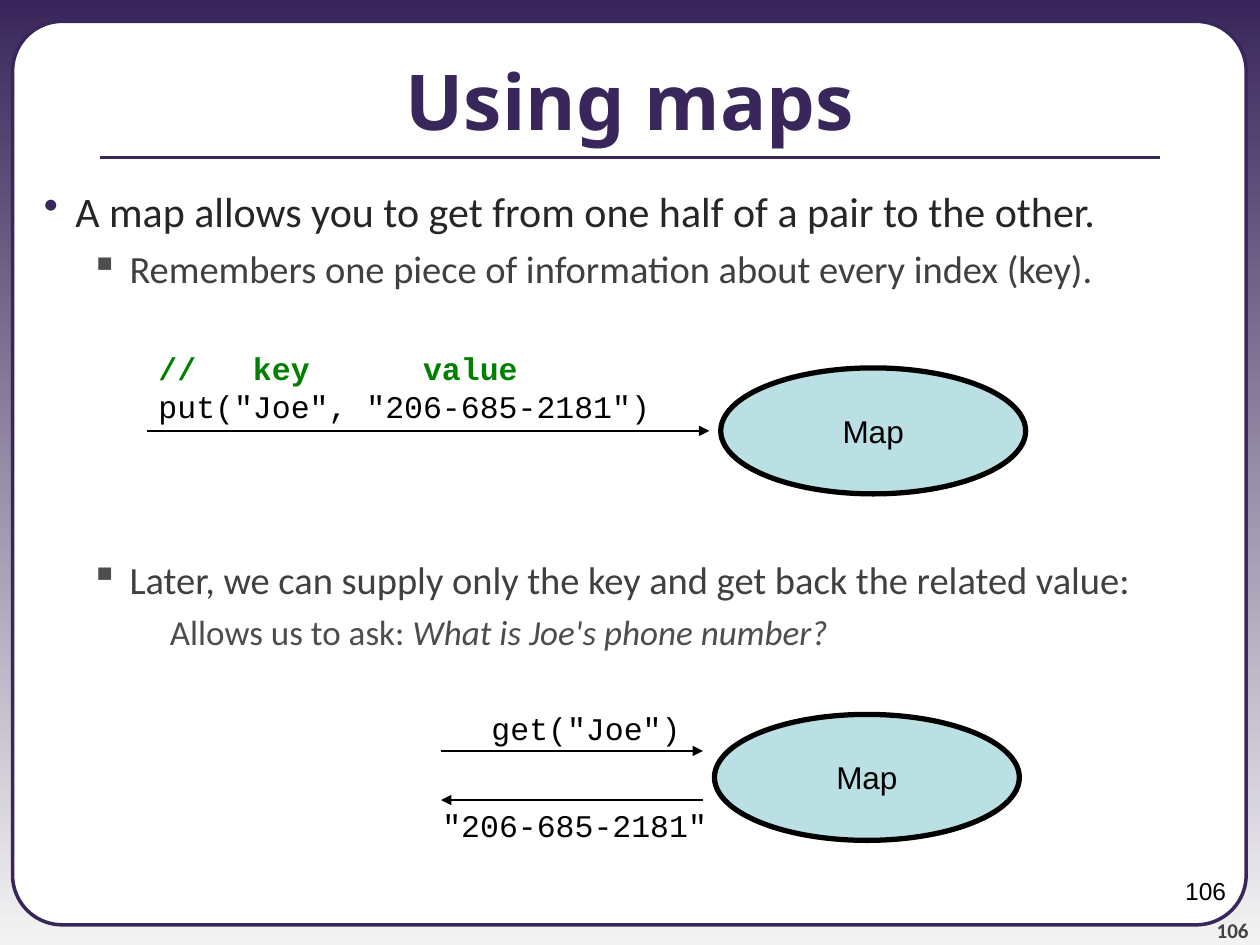
from pptx import Presentation
from pptx import util as u
from pptx.dml.color import RGBColor
from pptx.enum import shapes, text
from pptx.oxml.ns import qn
from lxml import etree

PURPLE = RGBColor(0x39, 0x27, 0x5B)
PALE = RGBColor(0xF3, 0xF3, 0xF3)
WHITE = RGBColor(0xFF, 0xFF, 0xFF)
BLACK = RGBColor(0, 0, 0)
GREEN = RGBColor(0, 0x80, 0)
AQUA = RGBColor(0xBB, 0xE0, 0xE3)
INK = RGBColor(0x26, 0x26, 0x26)
DARK = RGBColor(0x40, 0x40, 0x40)
FOOTER = RGBColor(0x42, 0x42, 0x42)
GRAY = RGBColor(0x4D, 0x4D, 0x4D)

LEFT, CENTER, RIGHT = text.PP_ALIGN.LEFT, text.PP_ALIGN.CENTER, text.PP_ALIGN.RIGHT
NUMBER = "106"
MAP_SIZE = (2.42, 1)

LEVELS = [
    dict(size=24, color=INK, left=0.5, hang=0.25, bullet="•", bullet_color=PURPLE),
    dict(size=22, color=DARK, left=0.93, hang=0.31, bullet="▪", bullet_color=GRAY),
    dict(size=20, color=GRAY, left=1.25, hang=0, bullet=None, bullet_color=None),
]
POINTS = [
    (0, 0, [("A map allows you to get from one half of a pair to the other.", False)]),
    (1, 5.5, [("Remembers one piece of information about every index (key).", False)]),
    (1, 151, [("Later, we can supply only the key and get back the related value:", False)]),
    (2, 5, [("Allows us to ask: ", False), ("What is Joe's phone number?", True)]),
]
MAPS = [(5.72, 2.92), (5.67, 5.67)]
ARROWS = [(1.17, 5.63, 3.42), (3.5, 5.58, 5.96), (5.58, 3.5, 6.35)]
CODE = [
    ((1.16, 2.72, 4.1, 0.7), LEFT,
     [("//   key      value", GREEN, True), ('put("Joe", "206-685-2181")', BLACK, False)]),
    ((3.8, 5.58, 1.7, 0.4), RIGHT, [('get("Joe")', BLACK, False)]),
    ((3.41, 6.35, 2.3, 0.4), RIGHT, [('"206-685-2181"', BLACK, False)]),
]


def inches(values):
    return [u.Inches(value) for value in values]


def style(span, font, size, color, bold=False, italic=False):
    span.font.name = font
    span.font.size = u.Pt(size)
    span.font.color.rgb = color
    span.font.bold = bold
    span.font.italic = italic


def add_text(slide, place, lines, font, size, align, wrap=True):
    box = slide.shapes.add_textbox(*inches(place))
    frame = box.text_frame
    frame.word_wrap = wrap
    frame.text = "\n".join(line for line, _, _ in lines)
    for para, (_, color, bold) in zip(frame.paragraphs, lines):
        para.alignment = align
        style(para.runs[0], font, size, color, bold)
    return frame


def add_preset(slide, kind, place, fill, line, width):
    shape = slide.shapes.add_shape(kind, *inches(place))
    shape.shadow.inherit = False
    shape.fill.solid()
    shape.fill.fore_color.rgb = fill
    shape.line.color.rgb = line
    shape.line.width = u.Pt(width)
    return shape


def add_line(slide, start, end, y, color, width, arrow=False):
    line = slide.shapes.add_connector(
        shapes.MSO_CONNECTOR.STRAIGHT, *inches((start, y, end, y)))
    line.line.color.rgb = color
    line.line.width = u.Pt(width)
    if arrow:
        etree.SubElement(line.line._get_or_add_ln(), qn("a:tailEnd"), type="triangle")
    etree.SubElement(line._element.spPr, qn("a:effectLst"))


def set_bullet(para, level):
    props = para._p.get_or_add_pPr()
    props.set("marL", str(u.Inches(level["left"])))
    props.set("indent", str(-u.Inches(level["hang"])))
    if level["bullet"]:
        tint = etree.SubElement(props, qn("a:buClr"))
        etree.SubElement(tint, qn("a:srgbClr"), val=str(level["bullet_color"]))
        etree.SubElement(props, qn("a:buChar"), char=level["bullet"])
    else:
        etree.SubElement(props, qn("a:buNone"))


def add_frame(slide):
    back = slide.background.fill
    back.gradient()
    back.gradient_angle = 270
    for stop, color in zip(back.gradient_stops, (PURPLE, PALE)):
        stop.color.rgb = color
    panel = add_preset(slide, shapes.MSO_SHAPE.ROUNDED_RECTANGLE,
                       (0.1, 0.17, 9.79, 7.17), WHITE, PURPLE, 2)
    panel.adjustments[0] = 0.055
    footer = add_text(slide, (9.08, 7.08, 0.83, 0.4), [(NUMBER, FOOTER, True)],
                      "Calibri", 12, RIGHT)
    footer.vertical_anchor = text.MSO_ANCHOR.BOTTOM
    footer.margin_left = footer.margin_right = 0
    footer.margin_top = footer.margin_bottom = 0
    add_line(slide, 0.79, 9.21, 1.25, PURPLE, 2.25)


def add_title(slide):
    title = slide.shapes.title
    title.left, title.top, title.width, title.height = inches((0, 0.17, 10, 1.25))
    frame = title.text_frame
    frame.text = "Using maps"
    frame.auto_size = text.MSO_AUTO_SIZE.NONE
    frame.vertical_anchor = text.MSO_ANCHOR.MIDDLE
    frame.paragraphs[0].alignment = CENTER
    style(frame.paragraphs[0].runs[0], "Noto Sans", 44, PURPLE, True)
    slide.shapes._spTree.append(title._element)


def add_points(slide):
    frame = slide.shapes.add_textbox(*inches((0, 1.42, 10, 6.08))).text_frame
    frame.word_wrap = True
    for index, (depth, before, spans) in enumerate(POINTS):
        level = LEVELS[depth]
        para = frame.add_paragraph() if index else frame.paragraphs[0]
        para.level = depth
        set_bullet(para, level)
        para.space_before = u.Pt(before)
        for words, italic in spans:
            span = para.add_run()
            span.text = words
            style(span, "Calibri", level["size"], level["color"], italic=italic)


def add_diagrams(slide):
    for corner in MAPS:
        oval = add_preset(slide, shapes.MSO_SHAPE.OVAL, corner + MAP_SIZE, AQUA, BLACK, 3)
        frame = oval.text_frame
        frame.text = "Map"
        frame.word_wrap = False
        frame.vertical_anchor = text.MSO_ANCHOR.MIDDLE
        frame.paragraphs[0].alignment = CENTER
        style(frame.paragraphs[0].runs[0], "Arial", 18, BLACK)
    for start, end, y in ARROWS:
        add_line(slide, start, end, y, BLACK, 0.75, arrow=True)
    for place, align, lines in CODE:
        add_text(slide, place, lines, "Courier New", 18, align, wrap=False)


def main():
    deck = Presentation()
    deck.slide_width, deck.slide_height = inches((10, 7.5))
    slide = deck.slides.add_slide(deck.slide_layouts[5])
    add_frame(slide)
    add_title(slide)
    add_points(slide)
    add_diagrams(slide)
    add_text(slide, (7.5, 6.9, 2.33, 0.52), [(NUMBER, BLACK, False)], "Arial", 14, RIGHT)
    deck.save("out.pptx")


if __name__ == "__main__":
    main()
